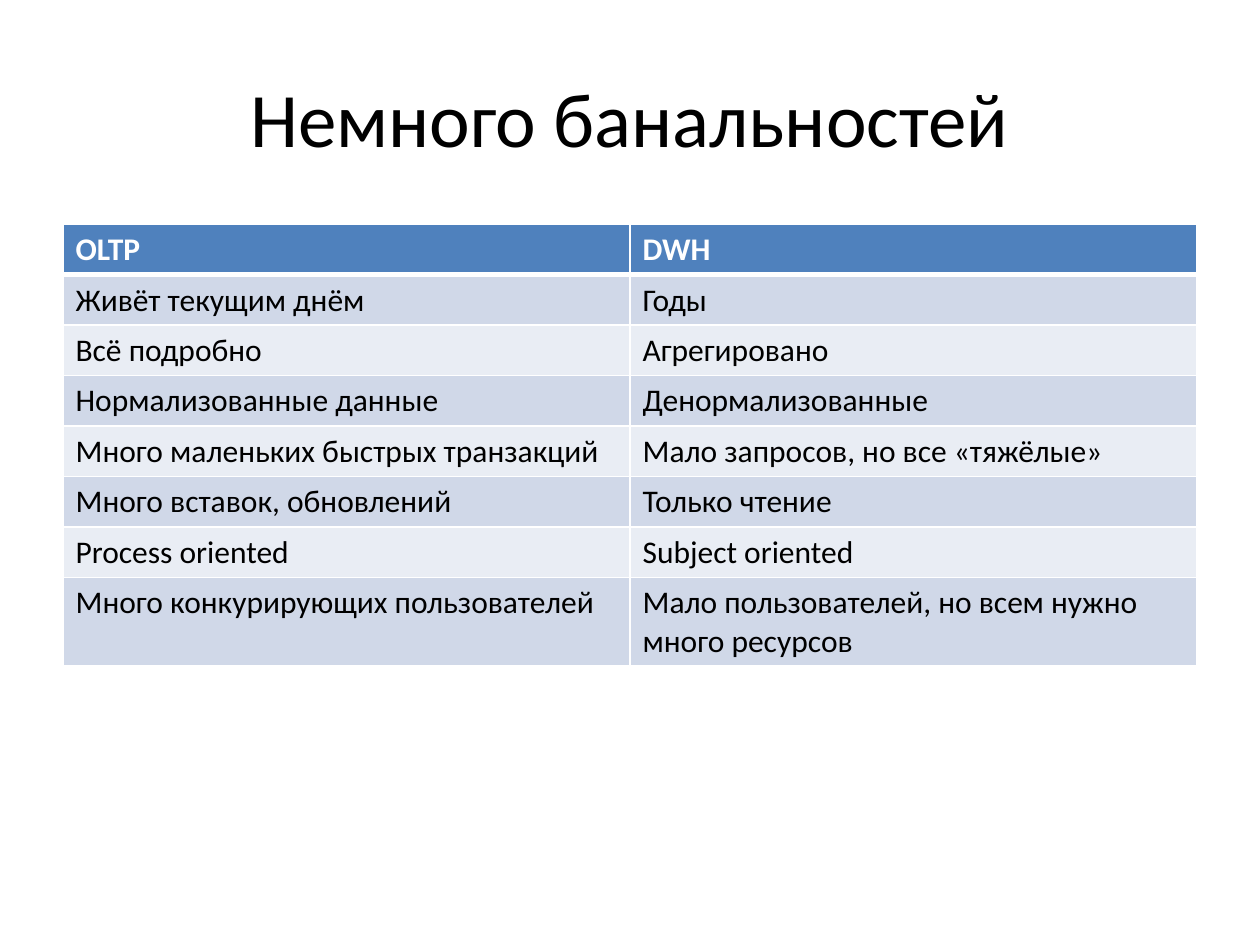
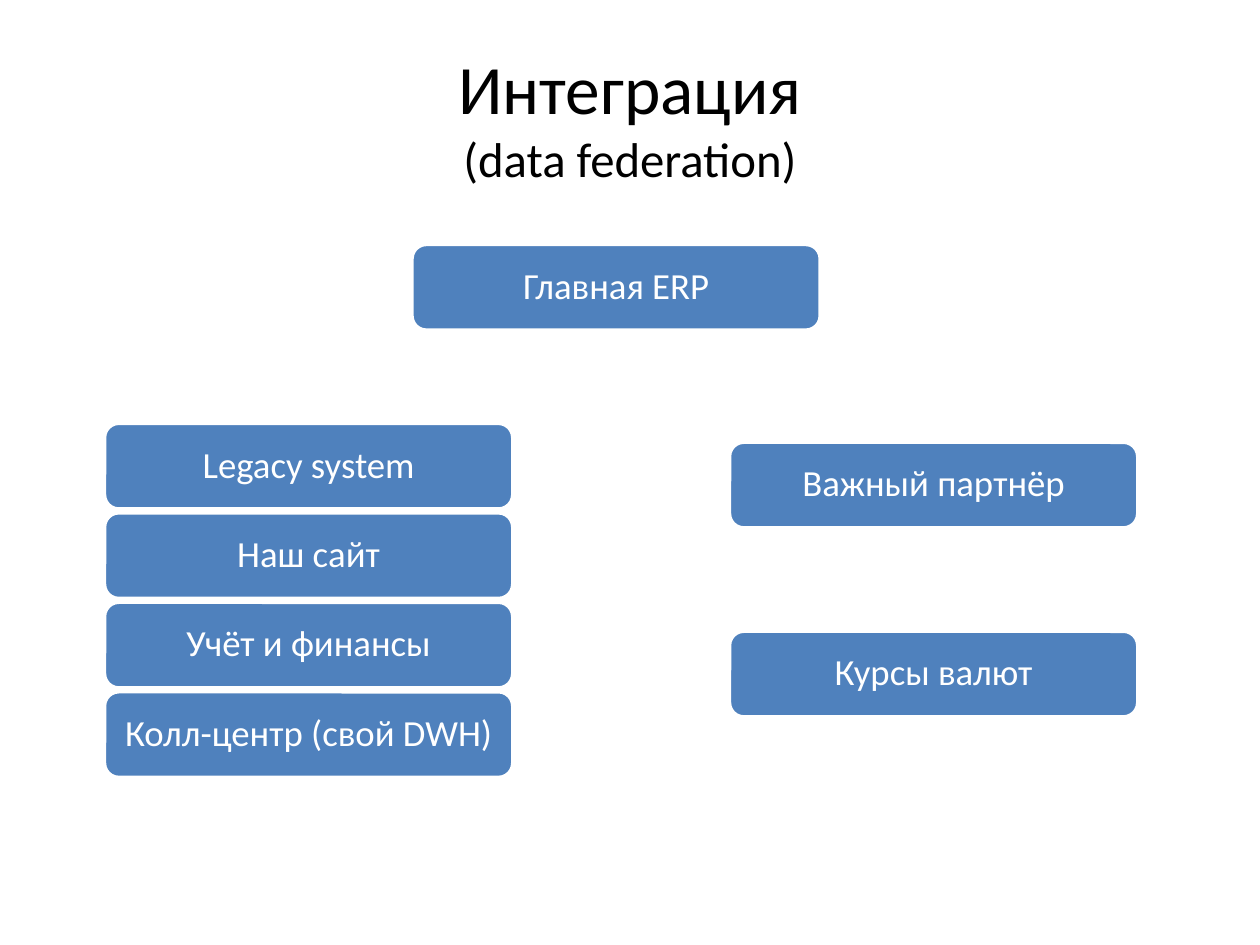
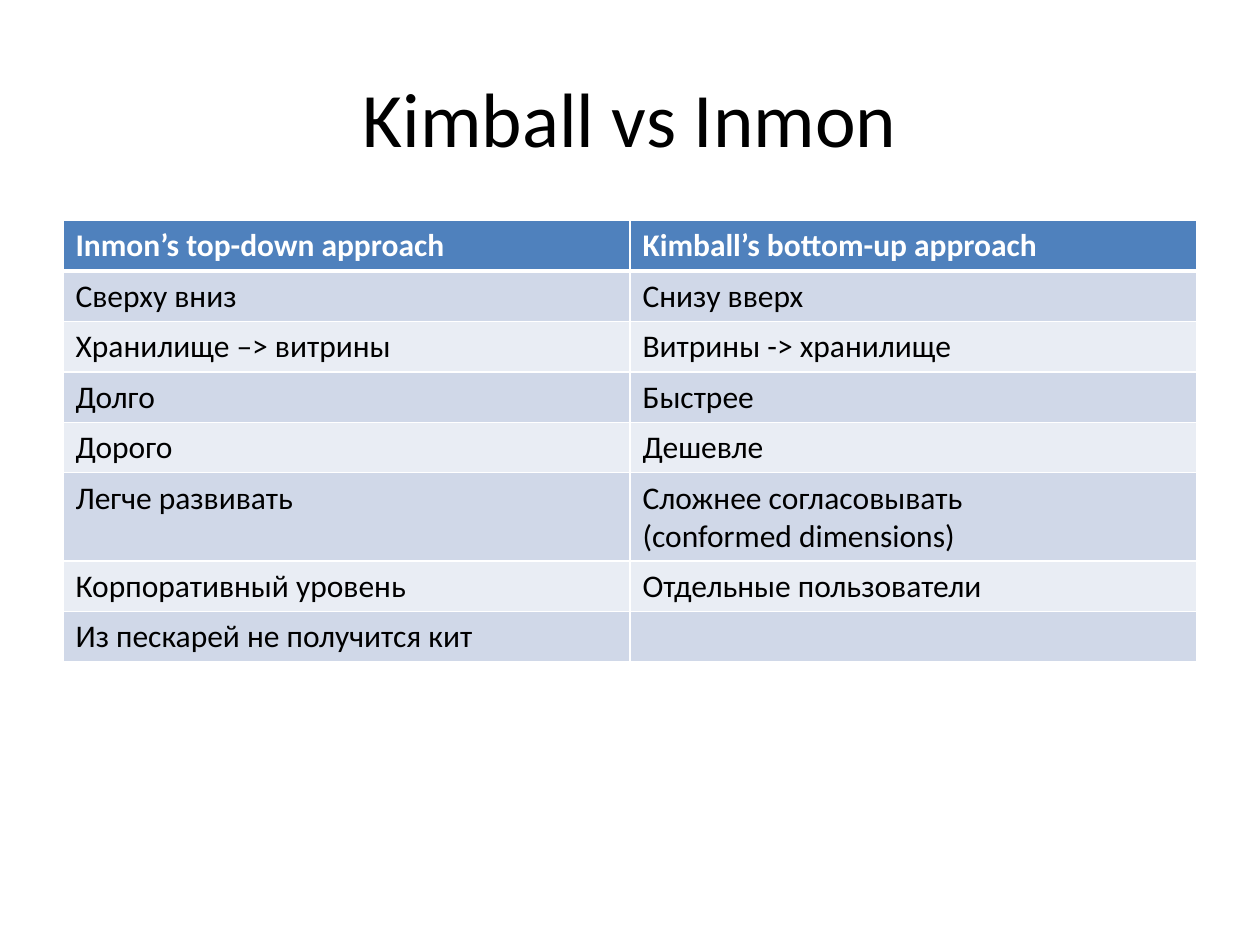
from lxml import etree
from pptx import Presentation
from pptx import util as u
from pptx.dml.color import RGBColor
from pptx.enum import shapes, text
from pptx.oxml.ns import qn

FONT = "Calibri"
BLACK, WHITE, BLUE = "000000", "FFFFFF", "4F81BD"
BANDS = ("D0D8E8", "E9EDF4")
MARGIN, CONTENT_WIDTH = 0.5, 9
BOX_WIDTH, BOX_HEIGHT = 3.24, 0.68


def color(value):
    return RGBColor.from_string(value)


def add_border(cell, side, points):
    line = etree.SubElement(cell._tc.get_or_add_tcPr(), qn(f"a:ln{side}"), w=str(u.Pt(points)))
    fill = etree.SubElement(line, qn("a:solidFill"))
    etree.SubElement(fill, qn("a:srgbClr"), val=WHITE)


class SlideBuilder:
    """Holds the shared style and the slide being filled."""

    def __init__(self):
        self.deck = Presentation()
        self.deck.slide_width, self.deck.slide_height = u.Inches(10), u.Inches(7.5)
        self.page = None

    def new_page(self, *title_lines):
        """Start a slide; title_lines are (wording, size) pairs."""
        self.page = self.deck.slides.add_slide(self.deck.slide_layouts[6])
        box = self.page.shapes.add_textbox(
            u.Inches(MARGIN), u.Inches(0.3), u.Inches(CONTENT_WIDTH), u.Inches(1.25))
        frame = box.text_frame
        frame.word_wrap = True
        frame.vertical_anchor = text.MSO_ANCHOR.MIDDLE
        para = frame.paragraphs[0]
        para.text = "\v".join(wording for wording, _ in title_lines)
        para.alignment = text.PP_ALIGN.CENTER
        for span, (_, size) in zip(para.runs, title_lines):
            self.style(span, size, BLACK)

    def style(self, span, size, ink, bold=False):
        span.font.name, span.font.size, span.font.bold = FONT, u.Pt(size), bold
        span.font.color.rgb = color(ink)

    def box(self, wording, left, top):
        """Rounded box with centred white text."""
        box = self.page.shapes.add_shape(
            shapes.MSO_SHAPE.ROUNDED_RECTANGLE, u.Inches(left), u.Inches(top),
            u.Inches(BOX_WIDTH), u.Inches(BOX_HEIGHT))
        box.shadow.inherit = False
        box.fill.solid()
        box.fill.fore_color.rgb = color(BLUE)
        box.line.color.rgb = color(WHITE)
        box.line.width = u.Pt(2)
        frame = box.text_frame
        frame.word_wrap = True
        frame.vertical_anchor = text.MSO_ANCHOR.MIDDLE
        frame.margin_left = frame.margin_right = u.Inches(0.1)
        para = frame.paragraphs[0]
        para.text = wording
        para.alignment = text.PP_ALIGN.CENTER
        para.line_spacing = 0.9
        self.style(para.runs[0], 21, WHITE)

    def column(self, labels, left, top, pitch):
        """Boxes below each other at an equal pitch."""
        for index, label in enumerate(labels):
            self.box(label, left, top + index * pitch)

    def table(self, rows, top, row_height=0.4):
        """Banded table with a header row and white rules."""
        columns = len(rows[0])
        grid = self.page.shapes.add_table(
            len(rows), columns, u.Inches(MARGIN), u.Inches(top),
            u.Inches(CONTENT_WIDTH), u.Inches(row_height * len(rows))).table
        for row, wordings in enumerate(rows):
            for column, wording in enumerate(wordings):
                self.cell(grid.cell(row, column), wording, row)

    def cell(self, cell, wording, row):
        header = row == 0
        widths = {"L": 1, "R": 1, "T": 3 if row == 1 else 1, "B": 3 if header else 1}
        for side, points in widths.items():
            add_border(cell, side, points)
        cell.fill.solid()
        cell.fill.fore_color.rgb = color(BLUE if header else BANDS[(row - 1) % 2])
        para = cell.text_frame.paragraphs[0]
        para.text = wording
        para.font.size = u.Pt(18)
        for span in para.runs:
            self.style(span, 18, WHITE if header else BLACK, header)


def main():
    builder = SlideBuilder()

    # OLTP against DWH
    builder.new_page(("Немного банальностей", 44))
    builder.table([
        ("OLTP", "DWH"),
        ("Живёт текущим днём", "Годы"),
        ("Всё подробно", "Агрегировано"),
        ("Нормализованные данные", "Денормализованные"),
        ("Много маленьких быстрых транзакций", "Мало запросов, но все «тяжёлые»"),
        ("Много вставок, обновлений", "Только чтение"),
        ("Process oriented", "Subject oriented"),
        ("Много конкурирующих пользователей",
         "Мало пользователей, но всем нужно много ресурсов"),
    ], top=1.78)

    # Systems to integrate
    builder.new_page(("Интеграция", 39.6), ("(data federation)", 27.9))
    builder.box("Главная ERP", 3.27, 1.94)
    builder.column(["Legacy system", "Наш сайт", "Учёт и финансы", "Колл-центр (свой DWH)"],
                   left=0.83, top=3.36, pitch=0.71)
    builder.column(["Важный партнёр", "Курсы валют"], left=5.79, top=3.51, pitch=1.5)

    # Two approaches to a warehouse
    builder.new_page(("Kimball vs Inmon", 44))
    builder.table([
        ("Inmon’s top-down approach", "Kimball’s bottom-up approach"),
        ("Сверху вниз", "Снизу вверх"),
        ("Хранилище –> витрины", "Витрины -> хранилище"),
        ("Долго", "Быстрее"),
        ("Дорого", "Дешевле"),
        ("Легче развивать", "Сложнее согласовывать\v(conformed dimensions)"),
        ("Корпоративный уровень", "Отдельные пользователи"),
        ("Из пескарей не получится кит", ""),
    ], top=1.75)

    builder.deck.save("out.pptx")


if __name__ == "__main__":
    main()
